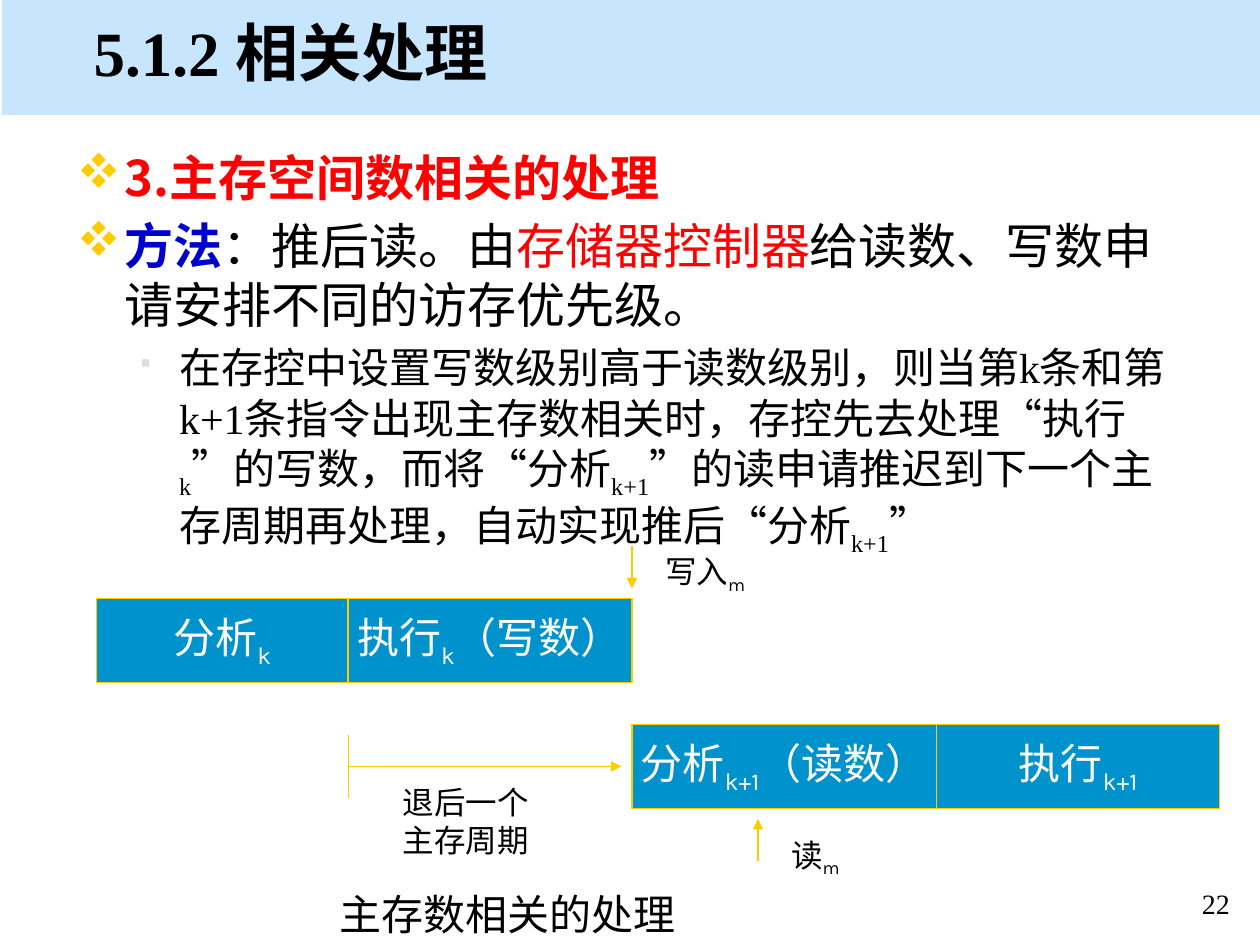
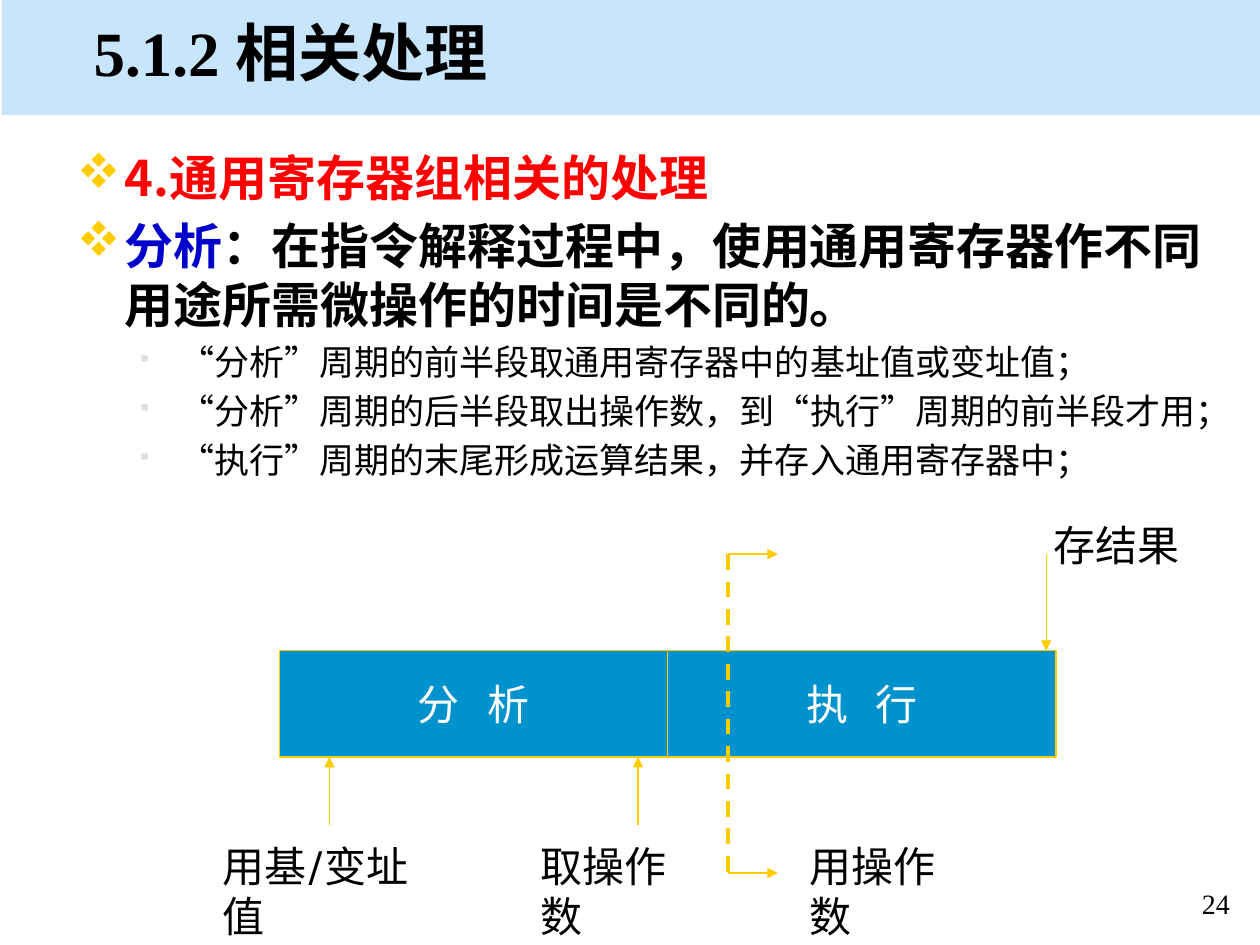
"""Build two lecture slides on handling instruction dependencies."""
from lxml import etree
from pptx import Presentation
from pptx.dml.color import RGBColor
from pptx.enum.dml import MSO_LINE
from pptx.enum.shapes import MSO_CONNECTOR, MSO_SHAPE
from pptx.enum.text import MSO_ANCHOR, PP_ALIGN
from pptx.oxml.ns import qn
from pptx.util import Cm, Pt

RECTANGLE, STRAIGHT, DASH = MSO_SHAPE.RECTANGLE, MSO_CONNECTOR.STRAIGHT, MSO_LINE.DASH
TOP, MIDDLE = MSO_ANCHOR.TOP, MSO_ANCHOR.MIDDLE
LEFT, CENTER = PP_ALIGN.LEFT, PP_ALIGN.CENTER

BLACK = RGBColor(0x00, 0x00, 0x00)
WHITE = RGBColor(0xFF, 0xFF, 0xFF)
RED = RGBColor(0xFF, 0x00, 0x00)
NAVY = RGBColor(0x00, 0x00, 0xCC)
GOLD = RGBColor(0xFF, 0xCC, 0x00)
GREY = RGBColor(0xDD, 0xDD, 0xDD)
STAGE_BLUE = RGBColor(0x00, 0x92, 0xCC)
BAND_BLUE = RGBColor(0xC7, 0xE6, 0xFD)
SERIF, SANS, LABEL_FONT = "Times New Roman", "Noto Sans CJK SC", "Karla"
BULLET_FONT = "Wingdings"
EAST_ASIAN = {SERIF: SANS, SANS: SANS, LABEL_FONT: LABEL_FONT}

TITLE = "5.1.2 相关处理"
BULLETS = [
    {"char": "v", "color": GOLD, "percent": 100, "margin": 0.97, "hang": 0.97},
    {"char": "§", "color": GREY, "percent": 60, "margin": 2.06, "hang": 0.79},
]

# Body paragraphs: level, size, runs of (text, colour, bold); _x_ marks a subscript.
SLIDES = [
    {
        "number": "22",
        "body_width": 22.86,
        "heading": "3.主存空间数相关的处理",
        "body": [
            (0, 28, [("方法", NAVY, True), ("：推后读。由", BLACK, False),
                     ("存储器控制器", RED, False),
                     ("给读数、写数申请安排不同的访存优先级。", BLACK, False)]),
            (1, 24, [("在存控中设置写数级别高于读数级别，则当第k条和第k+1条指令出现主存数相关时，"
                      "存控先去处理“执行_k_”的写数，而将“分析_k+1_”的读申请推迟到下一个主存周期"
                      "再处理，自动实现推后“分析_k+1_”", BLACK, False)]),
        ],
        "stage_rows": [
            (1.94, 12.07, 1.69, [("分析_k_", 5.08), ("执行_k_（写数）", 5.72)]),
            (12.74, 14.61, 1.69, [("分析_k+1_（读数）", 6.14), ("执行_k+1_", 5.71)]),
        ],
        "arrows": [(12.74, 11, 12.74, 11.86), (15.28, 17.35, 15.28, 16.51),
                   (7.02, 15.45, 12.53, 15.45)],
        "plain_lines": [(7.02, 14.82, 7.02, 16.08)],
        "dashed_lines": [],
        "labels": [
            ("写入_m_", 18, 13.16, 11, 3.18, 1.02, True),
            ("读_m_", 18, 15.7, 16.72, 3.18, 1.02, True),
            ("退后一个主存周期", 18, 7.87, 15.67, 3.18, 1.78, True),
            ("主存数相关的处理", 24, 6.6, 17.78, 7.29, 1.27, False),
        ],
    },
    {
        "number": "24",
        "body_width": 23.62,
        "heading": "4.通用寄存器组相关的处理",
        "body": [
            (0, 28, [("分析", NAVY, True),
                     ("：在指令解释过程中，使用通用寄存器作不同用途所需微操作的时间是不同的。",
                      BLACK, True)]),
            (1, 20, [("“分析”周期的前半段取通用寄存器中的基址值或变址值；", BLACK, False)]),
            (1, 20, [("“分析”周期的后半段取出操作数，到“执行”周期的前半段才用；",
                      BLACK, False)]),
            (1, 20, [("“执行”周期的末尾形成运算结果，并存入通用寄存器中；", BLACK, False)]),
        ],
        "stage_rows": [(5.64, 13.12, 2.14, [("分 析", 7.82), ("执 行", 7.83)])],
        "arrows": [(6.64, 16.64, 6.64, 15.26), (12.86, 16.64, 12.86, 15.26),
                   (14.67, 17.6, 15.68, 17.6), (14.67, 11.17, 15.68, 11.17),
                   (21.09, 11.17, 21.09, 13.12)],
        "plain_lines": [],
        "dashed_lines": [(14.67, 11.17, 14.67, 17.6)],
        "labels": [
            ("用基/变址值", 24, 4.24, 16.81, 4.8, 1.17, True),
            ("取操作数", 24, 10.64, 16.81, 3.68, 1.17, True),
            ("用操作数", 24, 16.07, 16.81, 3.68, 1.17, True),
            ("存结果", 24, 20.98, 10.34, 3.43, 1.3, True),
        ],
    },
]


def add_child(parent, tag, **attributes):
    return etree.SubElement(parent, qn(tag), attributes)


def add_runs(para, text, size, font, color, bold=False):
    for index, part in enumerate(text.split("_")):
        if not part:
            continue
        span = para.add_run()
        span.text = part
        span.font.size, span.font.bold = Pt(size), bold
        span.font.name = font
        span.font.color.rgb = color
        properties = span._r.get_or_add_rPr()
        add_child(properties, "a:ea", typeface=EAST_ASIAN[font])
        if index % 2:
            properties.set("baseline", "-25000")
        if " " in part and font == LABEL_FONT:
            properties.set("spc", "500")


def add_text(page, text, size, font, left, top, width, height,
             bold=False, wrap=True, align=LEFT, anchor=TOP):
    box = page.shapes.add_textbox(Cm(left), Cm(top), Cm(width), Cm(height))
    frame = box.text_frame
    frame.word_wrap, frame.vertical_anchor = wrap, anchor
    para = frame.paragraphs[0]
    para.alignment = align
    add_runs(para, text, size, font, BLACK, bold)


def add_rectangle(page, left, top, width, height, fill):
    box = page.shapes.add_shape(RECTANGLE, Cm(left), Cm(top), Cm(width), Cm(height))
    box.shadow.inherit = False
    box.fill.solid()
    box.fill.fore_color.rgb = fill
    box.line.fill.background()
    return box


def add_stage_row(page, left, top, height, stages):
    for text, width in stages:
        box = add_rectangle(page, left, top, width, height, STAGE_BLUE)
        box.line.color.rgb = GOLD
        box.line.width = Pt(0.75)
        frame = box.text_frame
        frame.word_wrap, frame.vertical_anchor = False, MIDDLE
        frame.paragraphs[0].alignment = CENTER
        add_runs(frame.paragraphs[0], text, 24, LABEL_FONT, WHITE)
        left += width


def add_line(page, ends, width=0.75, arrow=False, dash=None):
    line = page.shapes.add_connector(STRAIGHT, *(Cm(value) for value in ends))
    line.line.color.rgb = GOLD
    line.line.width = Pt(width)
    if dash:
        line.line.dash_style = dash
    if arrow:
        add_child(line.line._get_or_add_ln(), "a:tailEnd", type="triangle")
    add_child(line._element.spPr, "a:effectLst")


def set_bullet(para, level):
    bullet = BULLETS[level]
    para.level = level
    properties = para._p.get_or_add_pPr()
    properties.set("marL", str(Cm(bullet["margin"])))
    properties.set("indent", str(-Cm(bullet["hang"])))
    color = add_child(properties, "a:buClr")
    add_child(color, "a:srgbClr", val=str(bullet["color"]))
    add_child(properties, "a:buSzPct", val=str(bullet["percent"] * 1000))
    add_child(properties, "a:buFont", typeface=BULLET_FONT, charset="2")
    add_child(properties, "a:buChar", char=bullet["char"])


def add_body(page, heading, paragraphs, width):
    box = page.shapes.add_textbox(Cm(1.3), Cm(2.84), Cm(width), Cm(8.43))
    frame = box.text_frame
    frame.word_wrap = True
    first = frame.paragraphs[0]
    set_bullet(first, 0)
    add_runs(first, heading, 28, SANS, RED, True)
    for level, size, runs in paragraphs:
        para = frame.add_paragraph()
        set_bullet(para, level)
        para.space_before = Pt(size * 0.2)
        for text, color, bold in runs:
            add_runs(para, text, size, SERIF, color, bold)


def add_page(deck, content):
    page = deck.slides.add_slide(deck.slide_layouts[6])
    add_rectangle(page, 0.04, 0, 25.36, 2.32, BAND_BLUE)
    add_text(page, content["number"], 16, SERIF, 23.62, 17.75, 1.78, 0.84, align=CENTER)
    add_text(page, TITLE, 36, SERIF, 1.64, 0.19, 21.79, 1.7, bold=True, anchor=MIDDLE)
    add_body(page, content["heading"], content["body"], content["body_width"])
    for row in content["stage_rows"]:
        add_stage_row(page, *row)
    for ends in content["arrows"]:
        add_line(page, ends, arrow=True)
    for ends in content["plain_lines"]:
        add_line(page, ends)
    for ends in content["dashed_lines"]:
        add_line(page, ends, width=2.25, dash=DASH)
    for text, size, left, top, width, height, wrap in content["labels"]:
        add_text(page, text, size, LABEL_FONT, left, top, width, height, wrap=wrap)


def main():
    deck = Presentation()
    deck.slide_width, deck.slide_height = Cm(25.4), Cm(19.05)
    for content in SLIDES:
        add_page(deck, content)
    deck.save("out.pptx")


if __name__ == "__main__":
    main()
